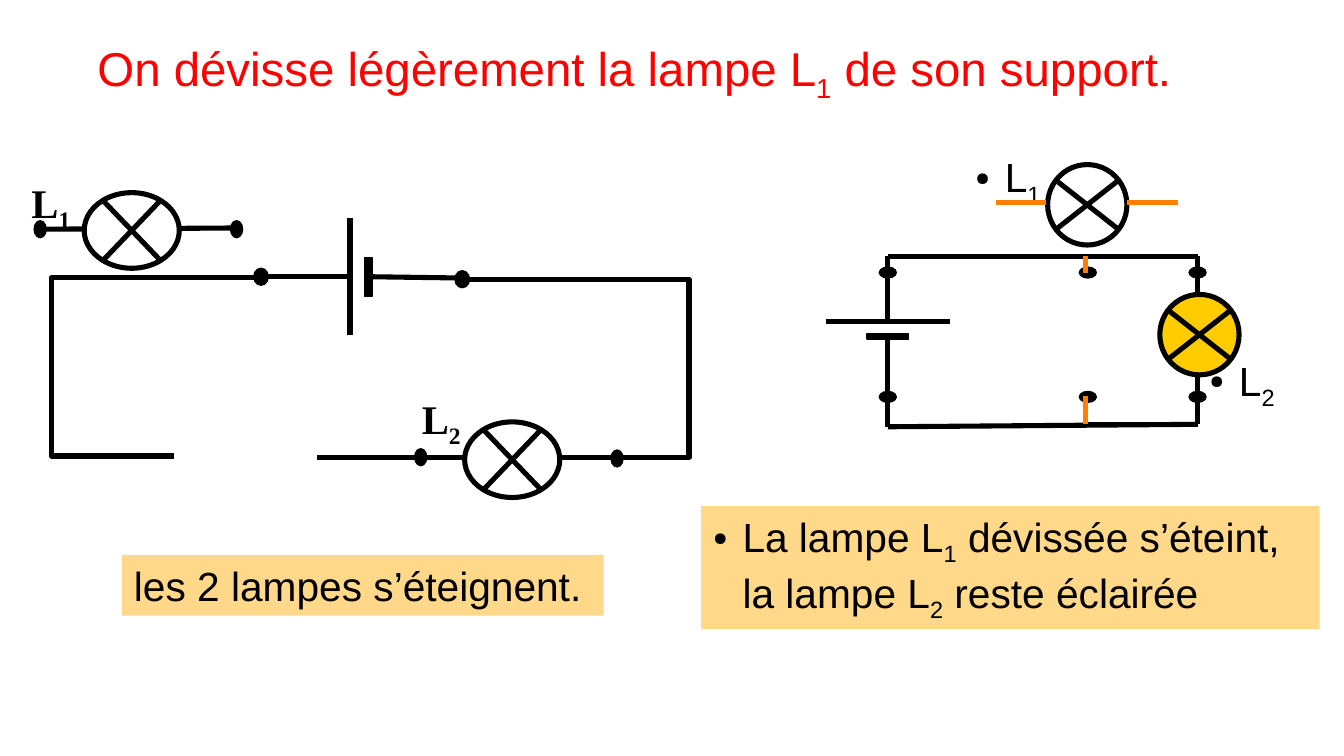
from lxml.etree import SubElement as Sub
from pptx import Presentation as Deck
from pptx.dml.color import RGBColor as Rgb
from pptx.enum.shapes import MSO_CONNECTOR as Link, MSO_SHAPE as Form
from pptx.enum.text import MSO_ANCHOR as Anchor, MSO_AUTO_SIZE as Auto, PP_ALIGN as Align
from pptx.oxml.ns import qn
from pptx.util import Inches, Pt

INK = {"black": "000000", "white": "FFFFFF", "red": "FF0000",
       "sand": "FFD889", "glow": "FFCC00", "lead": "FF8000"}
LEFT, RIGHT = (7.8, 6.2, 2.3, 2.4), (6.5, 6.6, 2.55, 2)


def tint(name):
    return Rgb.from_string(INK[name])


def bullet(para):
    props = para._p.get_or_add_pPr()
    props.set("marL", str(Inches(0.24)))
    props.set("indent", str(-Inches(0.24)))
    Sub(Sub(props, qn("a:buClr")), qn("a:srgbClr"), val=INK["black"])
    Sub(props, qn("a:buSzPct"), val="45000")
    Sub(props, qn("a:buChar"), char="●")


def write(frame, text, size=24, font="Arial", color="black", bold=False,
          align=Align.LEFT, dot=False, fit=Auto.NONE):
    frame.word_wrap = True
    frame.auto_size = fit
    frame.vertical_anchor = Anchor.TOP
    para = frame.paragraphs[0]
    para.alignment = align
    if dot:
        bullet(para)
    first, *rest = text.split("_")
    parts = [(first, False)]
    for part in rest:
        parts += [(part[0], True), (part[1:], False)]
    for words, low in parts:
        if not words:
            continue
        run = para.add_run()
        run.text = words
        run.font.size, run.font.name, run.font.bold = Pt(size), font, bold
        run.font.color.rgb = tint(color)
        if low:
            run._r.get_or_add_rPr().set("baseline", "-25000")


class Sketch:
    """Draws circuit parts on a slide, on a grid of 0.1 inch cells."""

    def __init__(self, deck):
        self.cell = Inches(0.1)
        self.slide = deck.slides.add_slide(deck.slide_layouts[5])
        self.shapes = self.slide.shapes

    def grid(self, *cells):
        return [round(c * self.cell) for c in cells]

    def title(self, box, text, **style):
        head = self.shapes.title
        head.left, head.top, head.width, head.height = self.grid(*box)
        write(head.text_frame, text, align=Align.CENTER, **style)

    def label(self, box, text, **style):
        note = self.shapes.add_textbox(*self.grid(*box))
        write(note.text_frame, text, fit=Auto.SHAPE_TO_FIT_TEXT, **style)

    def panel(self, box, text, **style):
        card = self.shapes.add_shape(Form.RECTANGLE, *self.grid(*box))
        card.shadow.inherit = False
        card.fill.solid()
        card.fill.fore_color.rgb = tint("sand")
        card.line.fill.background()
        write(card.text_frame, text, **style)

    def mark(self, x, y, wide, high, form=Form.OVAL, fill="black", line=0.75):
        box = self.grid(x - wide / 2, y - high / 2, wide, high)
        mark = self.shapes.add_shape(form, *box)
        mark.shadow.inherit = False
        mark.fill.solid()
        mark.fill.fore_color.rgb = tint(fill)
        mark.line.color.rgb = tint("black")
        mark.line.width = Pt(line)
        return mark

    def wire(self, x1, y1, x2, y2, color="black", start=None):
        wire = self.shapes.add_connector(Link.STRAIGHT, *self.grid(x1, y1, x2, y2))
        if start:
            wire.begin_connect(*start)
        wire.line.color.rgb = tint(color)
        wire.line.width = Pt(3)
        Sub(wire._element.spPr, qn("a:effectLst"))

    def bend(self, *points):
        first, *rest = [self.grid(*p) for p in points]
        pen = self.shapes.build_freeform(*first)
        pen.add_line_segments(rest, close=False)
        bend = pen.convert_to_shape()
        bend.shadow.inherit = False
        bend.fill.background()
        bend.line.color.rgb = tint("black")
        bend.line.width = Pt(3)

    def lamp(self, x, y, size, fill="white"):
        wide, high, dx, dy = size
        self.mark(x, y, wide, high, fill=fill, line=3)
        for side in (dy, -dy):
            self.wire(x - dx, y - side, x + dx, y + side)


def series(art):
    art.bend((38.1, 22.9), (56.5, 22.9), (56.5, 37.5), (45.6, 37.5))
    art.bend((21.3, 22.8), (4.2, 22.8), (4.2, 37.4), (14.3, 37.4))
    art.wire(34.5, 37.5, 50.6, 37.5)
    art.wire(26, 37.5, 34, 37.5)
    art.wire(3.3, 18.8, 19.3, 18.7)
    art.lamp(42, 37.7, LEFT)
    art.lamp(10.8, 18.9, LEFT)
    art.wire(28.7, 27.5, 28.7, 17.9)
    art.wire(21.3, 22.7, 28.7, 22.7)
    plate = art.mark(30.2, 22.7, 0.6, 3.2, Form.RECTANGLE)
    art.wire(30.5, 22.7, 37.8, 22.8, start=(plate, 3))
    for x, y, wide in ((34.5, 37.5, 1), (50.6, 37.6, 1), (21.4, 22.7, 1.2),
                       (37.9, 22.9, 1.2), (3.3, 18.8, 1), (19.4, 18.8, 1)):
        art.mark(x, y, wide, 1.4)
    for x, y, text in ((1.6, 14.1, "L_1"), (33.6, 31.8, "L_2")):
        art.label((x, y, 6.1, 5.6), text, font="Times New Roman", bold=True)


def shunt(art):
    for x in (72.8, 89.2, 98.2):
        for y in (22.35, 32.55):
            art.mark(x, y, 1.4, 0.9)
    plate = art.mark(72.8, 27.6, 3.4, 0.4, Form.RECTANGLE)
    art.label((79, 12, 8.5, 5.6), "L_1", dot=True)
    art.lamp(89.15, 16.8, RIGHT)
    art.wire(98.2, 21, 98.2, 34.8)
    art.lamp(98.35, 27.45, RIGHT, "glow")
    for ends in ((67.7, 26.4, 77.9, 26.4), (71.4, 27.7, 74.3, 27.7),
                 (72.8, 21, 72.8, 26.3), (72.8, 21, 98.2, 21),
                 (72.8, 35, 98.2, 34.8), (89, 34.8, 98.2, 34.8)):
        art.wire(*ends)
    art.wire(72.8, 27.8, 72.8, 35, start=(plate, 2))
    art.label((98.2, 28.7, 7.5, 5.6), "L_2", dot=True)
    for ends in ((89, 22.4, 89, 21), (89, 34.8, 89, 32.5),
                 (92.4, 16.6, 96.6, 16.6), (81.7, 16.6, 85.8, 16.6)):
        art.wire(*ends, color="lead")


def main():
    deck = Deck()
    deck.slide_width, deck.slide_height = Inches(11.02), Inches(6.2)
    art = Sketch(deck)
    art.title((2.5, 2.7, 100.1, 6.3),
              "On dévisse légèrement la lampe L_1 de son support. ",
              size=28, color="red")
    series(art)
    shunt(art)
    art.panel((10, 45.5, 39.5, 5), "les 2 lampes s’éteignent.")
    art.panel((57.5, 41.5, 50.7, 10.1),
              "La lampe L_1 dévissée s’éteint, la lampe L_2 reste éclairée",
              dot=True)
    deck.save("out.pptx")


if __name__ == "__main__":
    main()
